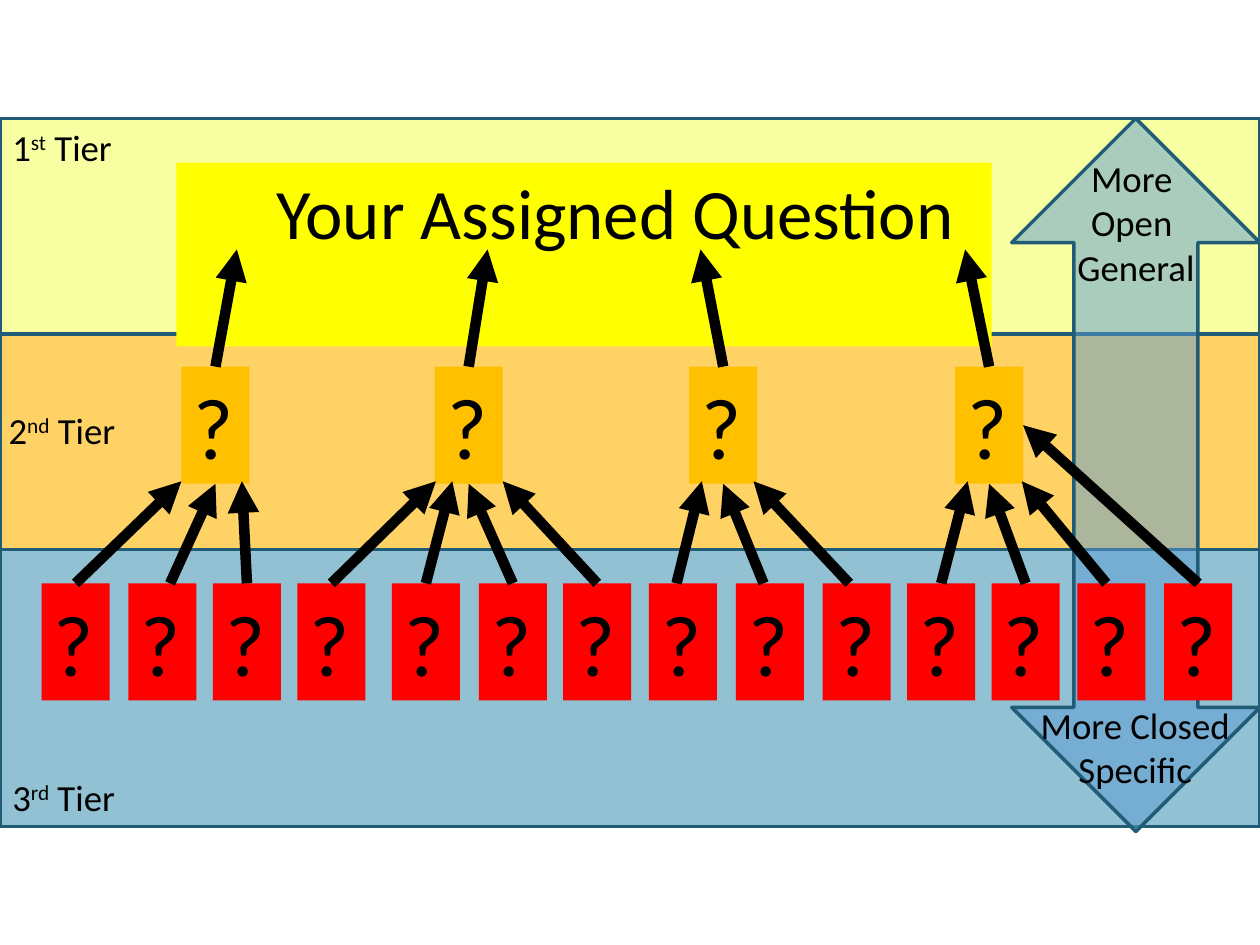
from math import hypot

from lxml.etree import SubElement
from pptx import Presentation
from pptx.dml.color import RGBColor
from pptx.enum.shapes import MSO_CONNECTOR, MSO_SHAPE
from pptx.enum.text import MSO_ANCHOR, MSO_AUTO_SIZE, PP_ALIGN
from pptx.oxml.ns import qn
from pptx.util import Inches, Pt

THEME = {
    "font": "Calibri",
    "title_size": 40.5, "mark_size": 49.5, "label_size": 21,
    "ink": "000000", "outline": "215C76", "outline_width": 2, "link_width": 6,
    "scale": "5B9BD5", "scale_opacity": 50,
    "main": "FFFF00", "second": "FFC000", "third": "FF0000",
}

MAIN_QUESTION = "Your Assigned Question"
MAIN_BOX = (1.4, 1.29, 6.47, 1.46)

# top, height, fill
BANDS = [(4.35, 2.21, "91C1D2"), (2.65, 1.71, "FFD266"), (0.94, 1.71, "F8FFA3")]
SCALE_BOX = (8.03, 0.94, 1.97, 5.66)

# number, ordinal suffix, box
TIERS = [
    ("1", "st", (0, 0.94, 1.03, 0.81)),
    ("2", "nd", (-0.03, 3.19, 1.09, 0.81)),
    ("3", "rd", (0, 6.1, 1.23, 0.45)),
]
SCALE_ENDS = [
    (["More ", "Open ", "General"], (8.07, 1.19, 1.89, 1.16)),
    (["More Closed Specific"], (8.16, 5.53, 1.7, 1.16)),
]

MARK = "?"
MARK_W, MARK_H = 0.54, 0.93
SECOND_TOP, THIRD_TOP, MAIN_TIP = 2.91, 4.63, 1.98

# Second-tier question: left, arrow start x, arrow tip x, and its
# third-tier questions: left, arrow start x, arrow tip
QUESTIONS = [
    (1.44, 1.73, 1.88, [
        (0.33, 0.6, (1.44, 3.82)),
        (1.02, 1.35, (1.71, 3.85)),
        (1.69, 1.98, (1.92, 3.82)),
    ]),
    (3.45, 3.72, 3.87, [
        (2.36, 2.61, (3.46, 3.82)),
        (3.11, 3.38, (3.59, 3.82)),
        (3.8, 4.08, (3.72, 3.85)),
        (4.47, 4.74, (3.99, 3.82)),
    ]),
    (5.47, 5.74, 5.56, [
        (5.15, 5.37, (5.57, 3.82)),
        (5.84, 6.06, (5.74, 3.85)),
        (6.53, 6.74, (5.98, 3.82)),
    ]),
    (7.58, 7.84, 7.66, [
        (7.2, 7.45, (7.68, 3.82)),
        (7.87, 8.12, (7.85, 3.85)),
        (8.55, 8.78, (8.11, 3.82)),
        (9.24, 9.51, (8.11, 3.38)),
    ]),
]
JOIN_DISTANCE = Inches(0.03)


def color(name):
    return RGBColor.from_string(THEME.get(name, name))


def add_block(slide, kind, box, fill, outlined=False):
    block = slide.shapes.add_shape(kind, *map(Inches, box))
    block.shadow.inherit = False
    block.fill.solid()
    block.fill.fore_color.rgb = color(fill)
    if outlined:
        block.line.color.rgb = color("outline")
        block.line.width = Pt(THEME["outline_width"])
    else:
        block.line.fill.background()
    return block


def format_text(frame, size, align):
    frame.word_wrap = True
    frame.auto_size = MSO_AUTO_SIZE.NONE
    frame.vertical_anchor = MSO_ANCHOR.TOP
    for paragraph in frame.paragraphs:
        paragraph.alignment = align
        for run in paragraph.runs:
            run.font.name = THEME["font"]
            run.font.size = Pt(THEME[size])
            run.font.color.rgb = color("ink")


def add_question(slide, left, top, fill):
    question = add_block(slide, MSO_SHAPE.RECTANGLE, (left, top, MARK_W, MARK_H), fill)
    question.text_frame.text = MARK
    format_text(question.text_frame, "mark_size", PP_ALIGN.LEFT)
    return question


def nearest_site(block, x, y):
    """Return the side whose middle lies at the point, or None."""
    mid_x, mid_y = block.left + block.width / 2, block.top + block.height / 2
    sites = [(mid_x, block.top), (block.left, mid_y),
             (mid_x, block.top + block.height), (block.left + block.width, mid_y)]
    for site, (site_x, site_y) in enumerate(sites):
        if hypot(site_x - x, site_y - y) < JOIN_DISTANCE:
            return site
    return None


def add_arrow(slide, start, tip, source, target=None):
    points = [Inches(value) for value in (*start, *tip)]
    arrow = slide.shapes.add_connector(MSO_CONNECTOR.STRAIGHT, *points)
    arrow.line.color.rgb = color("ink")
    arrow.line.width = Pt(THEME["link_width"])
    properties = arrow.element.spPr
    SubElement(properties.find(qn("a:ln")), qn("a:tailEnd"), type="triangle")
    SubElement(properties, qn("a:effectLst"))
    ends = [(arrow.begin_connect, source, points[:2]), (arrow.end_connect, target, points[2:])]
    for connect, block, point in ends:
        site = nearest_site(block, *point) if block is not None else None
        if site is not None:
            connect(block, site)


def add_background(slide):
    for top, height, fill in BANDS:
        add_block(slide, MSO_SHAPE.RECTANGLE, (0, top, 10, height), fill, outlined=True)
    scale = add_block(slide, MSO_SHAPE.UP_DOWN_ARROW, SCALE_BOX, "scale", outlined=True)
    tint = scale.element.spPr.find(qn("a:solidFill"))[0]
    SubElement(tint, qn("a:alpha"), val=str(THEME["scale_opacity"] * 1000))


def add_main_question(slide):
    title = slide.shapes.title
    title.left, title.top, title.width, title.height = map(Inches, MAIN_BOX)
    title.fill.solid()
    title.fill.fore_color.rgb = color("main")
    title.text_frame.text = MAIN_QUESTION
    format_text(title.text_frame, "title_size", PP_ALIGN.CENTER)
    indent = title.text_frame.paragraphs[0]._p.get_or_add_pPr()
    indent.set("marL", str(Inches(0.5)))
    indent.set("indent", "0")
    # Bring the title in front of the bands
    title.element.getparent().append(title.element)


def add_questions(slide):
    for left, start_x, tip_x, details in QUESTIONS:
        parent = add_question(slide, left, SECOND_TOP, "second")
        add_arrow(slide, (start_x, SECOND_TOP), (tip_x, MAIN_TIP), parent)
        for detail_left, detail_x, tip in details:
            detail = add_question(slide, detail_left, THIRD_TOP, "third")
            add_arrow(slide, (detail_x, THIRD_TOP), tip, detail, parent)


def add_labels(slide):
    for number, suffix, box in TIERS:
        frame = slide.shapes.add_textbox(*map(Inches, box)).text_frame
        for part in (number, suffix, " Tier"):
            run = frame.paragraphs[0].add_run()
            run.text = part
            if part == suffix:
                run._r.get_or_add_rPr().set("baseline", "30000")
        format_text(frame, "label_size", PP_ALIGN.LEFT)
    for lines, box in SCALE_ENDS:
        frame = slide.shapes.add_textbox(*map(Inches, box)).text_frame
        frame.text = "\n".join(lines)
        format_text(frame, "label_size", PP_ALIGN.CENTER)


def main():
    deck = Presentation()
    deck.slide_width, deck.slide_height = Inches(10), Inches(7.5)
    slide = deck.slides.add_slide(deck.slide_layouts[5])
    add_background(slide)
    add_main_question(slide)
    add_questions(slide)
    add_labels(slide)
    deck.save("out.pptx")


if __name__ == "__main__":
    main()
